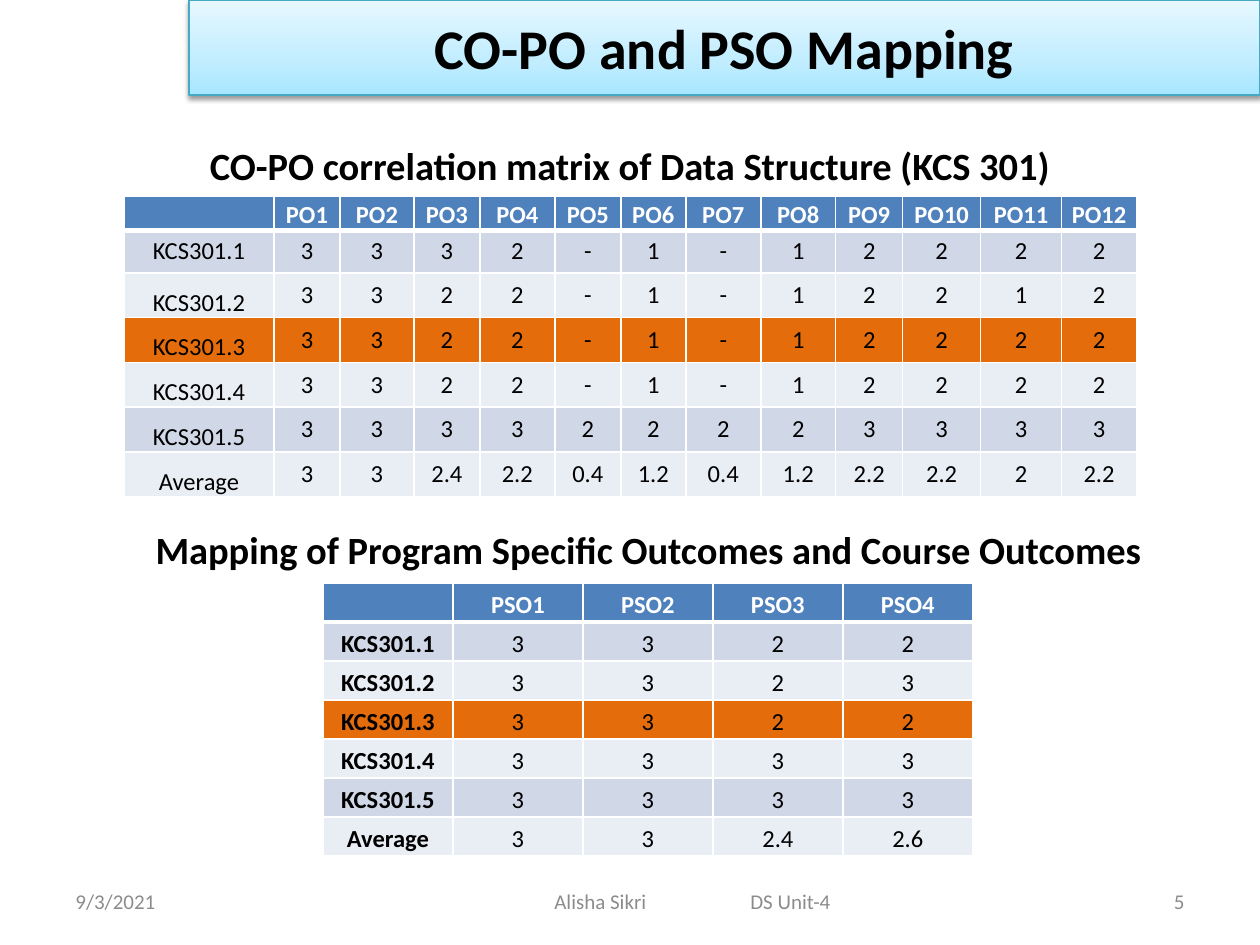
from dataclasses import dataclass

from lxml import etree
from pptx import Presentation
from pptx.dml.color import RGBColor
from pptx.enum.shapes import MSO_SHAPE
from pptx.enum.text import MSO_ANCHOR, MSO_AUTO_SIZE, PP_ALIGN
from pptx.oxml.ns import qn
from pptx.util import Emu, Pt

LEFT, MID, RIGHT = PP_ALIGN.LEFT, PP_ALIGN.CENTER, PP_ALIGN.RIGHT
TOP, CENTER = MSO_ANCHOR.TOP, MSO_ANCHOR.MIDDLE
GROW, RECT = MSO_AUTO_SIZE.SHAPE_TO_FIT_TEXT, MSO_SHAPE.RECTANGLE
FONT = "Calibri"
BLACK, WHITE, GREY = "000000", "FFFFFF", "8C8C8C"
HEAD, DARK, LIGHT, MARK = "4F81BD", "D0D8E8", "E9EDF4", "E46C0A"
BANDS = [HEAD, DARK, LIGHT, MARK, LIGHT, DARK, LIGHT]
LABELS = ["KCS301.1", "KCS301.2", "KCS301.3", "KCS301.4", "KCS301.5", "Average"]


@dataclass
class Label:
    """A line of text in a box."""

    text: str
    box: tuple[int, int, int, int]
    size: int
    color: str
    align: PP_ALIGN
    bold: bool = False
    tabs: tuple[int, ...] = ()


@dataclass
class Grid:
    """A table of marks with a name on each row."""

    left: int
    top: int
    cols: list[int]
    rows: list[int]
    code: str
    marks: list[str]
    bold: bool
    leads: list[float]
    lead: float | None
    tight: bool


def px(n: int) -> Emu:
    """Turn px into EMU."""
    return Emu(round(n * 914400 / 126))


def rgb(code: str) -> RGBColor:
    """Turn a hex string into a colour."""
    return RGBColor.from_string(code)


def put(para, text: str, size: int, color: str, bold: bool) -> None:
    """Add one run to a paragraph."""
    run = para.add_run()
    run.text = text
    run.font.name, run.font.size, run.font.bold = FONT, Pt(size), bold
    run.font.color.rgb = rgb(color)


def write(slide, item: Label) -> None:
    """Draw a text box."""
    box = slide.shapes.add_textbox(*map(px, item.box))
    frame = box.text_frame
    frame.word_wrap = True
    if item.bold:
        frame.auto_size = GROW
    frame.vertical_anchor = TOP if item.bold else CENTER
    para = frame.paragraphs[0]
    para.alignment = item.align
    if item.tabs:
        stops = etree.SubElement(para._p.get_or_add_pPr(), qn("a:tabLst"))
        for stop in item.tabs:
            etree.SubElement(stops, qn("a:tab"), pos=str(px(stop)), algn="l")
    put(para, item.text, item.size, item.color, item.bold)


def edge(cell, row: int) -> None:
    """Give a cell white borders, thick below the head row."""
    props = cell._tc.get_or_add_tcPr()
    wide = {"B": row == 0, "T": row == 1}
    for side in "LRTB":
        width = 3 if wide.get(side) else 1
        line = etree.SubElement(props, qn(f"a:ln{side}"), w=str(Pt(width)))
        fill = etree.SubElement(line, qn("a:solidFill"))
        etree.SubElement(fill, qn("a:srgbClr"), val=WHITE)


def fill(cell, text: str, row: int, bold: bool, lead: float | None, tight: bool) -> None:
    """Style one table cell and write its text."""
    edge(cell, row)
    cell.fill.solid()
    cell.fill.fore_color.rgb = rgb(BANDS[row])
    cell.vertical_anchor = CENTER
    if tight:
        cell.margin_left = cell.margin_right = px(9)
        cell.margin_top = cell.margin_bottom = 0
    para = cell.text_frame.paragraphs[0]
    para.alignment = MID
    if lead:
        para.line_spacing = lead
    if text:
        put(para, text, 14, BLACK if row else WHITE, bold)
    else:
        etree.SubElement(para._p, qn("a:endParaRPr"), sz="1400")


def draw(slide, grid: Grid) -> None:
    """Draw a table of marks."""
    wide, high = len(grid.cols), len(grid.rows)
    size = px(sum(grid.cols)), px(sum(grid.rows))
    table = slide.shapes.add_table(high, wide, px(grid.left), px(grid.top), *size).table
    table.first_row = table.horz_banding = False
    for col, width in zip(table.columns, grid.cols):
        col.width = px(width)
    for row, height in zip(table.rows, grid.rows):
        row.height = px(height)
    for c in range(wide):
        name = f"{grid.code}{c}" if c else ""
        fill(table.cell(0, c), name, 0, True, 1.15, True)
    for r, (name, line) in enumerate(zip(LABELS, grid.marks), 1):
        fill(table.cell(r, 0), name, r, grid.bold, grid.leads[r - 1], True)
        for c, mark in enumerate(line.split(), 1):
            fill(table.cell(r, c), mark, r, False, grid.lead, grid.tight)


def banner(slide, text: str) -> None:
    """Draw the title bar with its gradient and shadow."""
    bar = slide.shapes.add_shape(RECT, px(189), 0, px(1071), px(95))
    bar.fill.gradient()
    bar.fill.gradient_angle = 90
    stops = bar._element.spPr.find(qn("a:gradFill")).find(qn("a:gsLst"))
    stops.clear()
    for pos, code in ((0, "A7E6FF"), (35, "C1EDFF"), (100, "E7F8FF")):
        stop = etree.SubElement(stops, qn("a:gs"), pos=str(pos * 1000))
        etree.SubElement(stop, qn("a:srgbClr"), val=code)
    bar.line.color.rgb = rgb("46AAC5")
    bar.line.width = Pt(0.75)
    bar.shadow.inherit = False
    shade = etree.SubElement(
        bar._element.spPr.find(qn("a:effectLst")), qn("a:outerShdw"),
        blurRad=str(Pt(3.1)), dist=str(Pt(1.6)), dir="5400000", rotWithShape="0")
    tone = etree.SubElement(shade, qn("a:srgbClr"), val=BLACK)
    etree.SubElement(tone, qn("a:alpha"), val="38000")
    bar.text_frame.vertical_anchor = CENTER
    para = bar.text_frame.paragraphs[0]
    para.alignment = MID
    put(para, text, 32, BLACK, True)


COURSE = Grid(
    124, 196, [150, 66, 74, 66, 75, 66, 65, 75, 75, 67, 78, 81, 75], [30] + [38] * 6, "PO",
    ["3 3 3 2 - 1 - 1 2 2 2 2", "3 3 2 2 - 1 - 1 2 2 1 2", "3 3 2 2 - 1 - 1 2 2 2 2",
     "3 3 2 2 - 1 - 1 2 2 2 2", "3 3 3 3 2 2 2 2 3 3 3 3",
     "3 3 2.4 2.2 0.4 1.2 0.4 1.2 2.2 2.2 2 2.2"],
    False, [1.0] + [1.5] * 5, None, False)
PROGRAM = Grid(
    323, 583, [130] * 5, [39] * 7, "PSO",
    ["3 3 2 2", "3 3 2 3", "3 3 2 2", "3 3 3 3", "3 3 3 3", "3 3 2.4 2.6"],
    True, [1.15] * 6, 1.15, True)
FOOT = [
    Label("9/3/2021", (63, 876, 294, 50), 12, GREY, LEFT),
    Label("\tAlisha Sikri\tDS Unit-4", (346, 876, 693, 50), 12, GREY, LEFT, tabs=(196, 392)),
    Label("5", (903, 876, 294, 50), 12, GREY, RIGHT),
]
TITLES = [
    Label("CO-PO correlation matrix of Data Structure (KCS 301)",
          (63, 136, 1134, 59), 22, BLACK, MID, True),
    Label("Mapping of Program Specific Outcomes and Course Outcomes",
          (100, 520, 1097, 59), 22, BLACK, MID, True),
]


def main() -> None:
    """Build the slide and save it."""
    deck = Presentation()
    deck.slide_width, deck.slide_height = px(1260), px(945)
    slide = deck.slides.add_slide(deck.slide_layouts[6])
    draw(slide, COURSE)
    for item in FOOT:
        write(slide, item)
    banner(slide, "CO-PO and PSO Mapping")
    for item in TITLES:
        write(slide, item)
    draw(slide, PROGRAM)
    deck.save("out.pptx")


if __name__ == "__main__":
    main()
